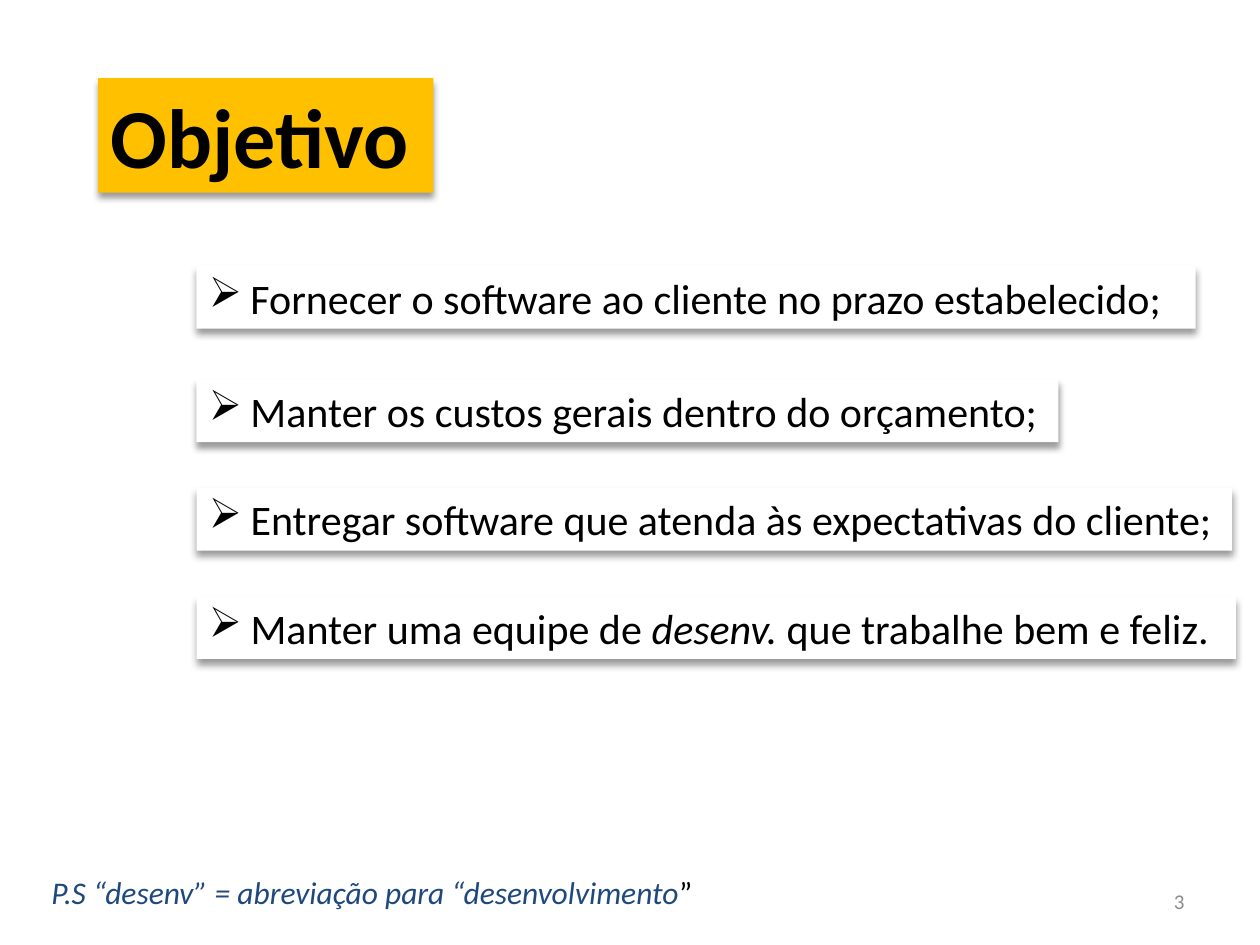
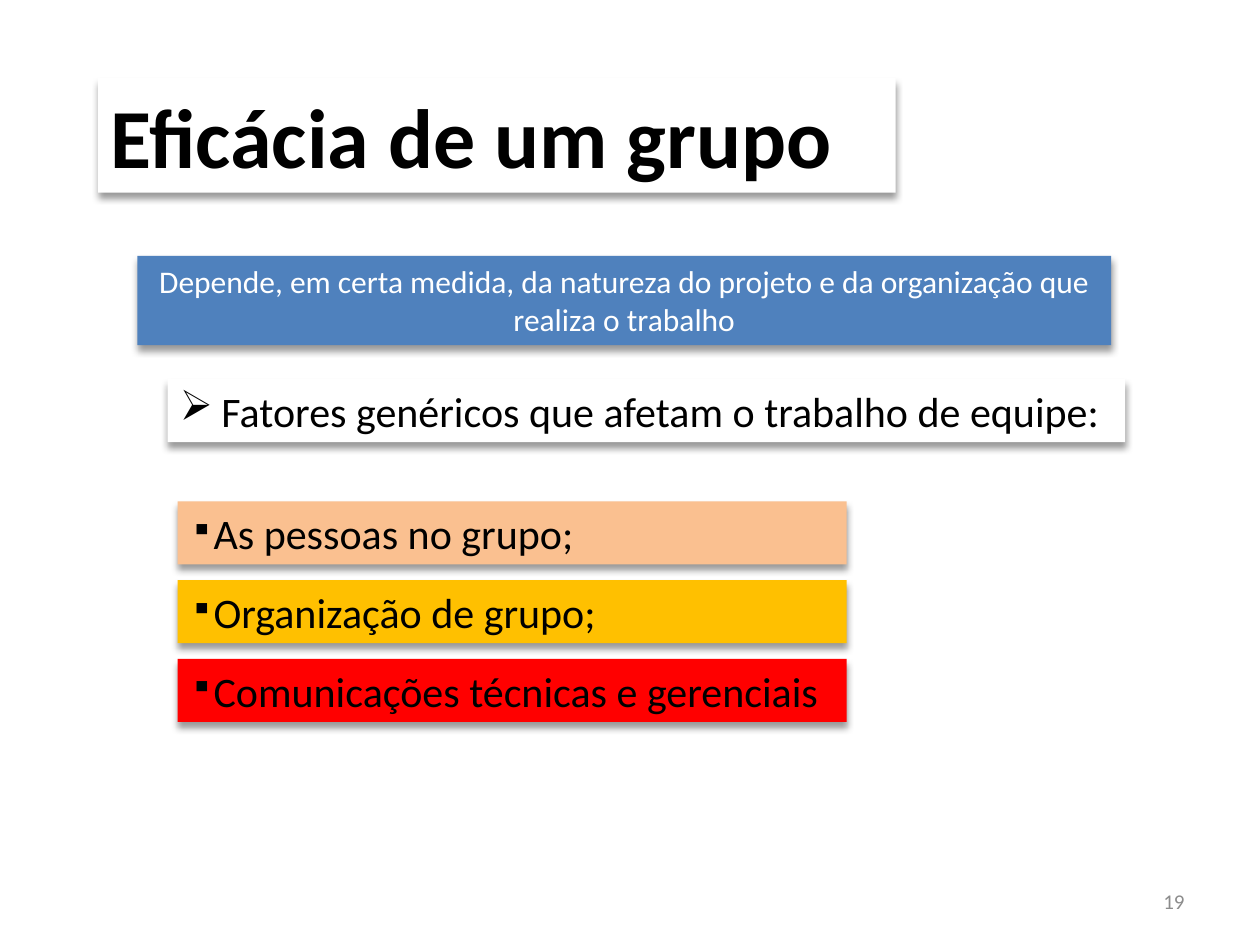
from dataclasses import dataclass

import pptx
import pptx.dml.color
import pptx.enum.shapes
import pptx.enum.text
import pptx.oxml
import pptx.oxml.ns
import pptx.util
import lxml.etree

RGBColor = pptx.dml.color.RGBColor
Align = pptx.enum.text.PP_ALIGN
Anchor = pptx.enum.text.MSO_ANCHOR

BLACK = RGBColor(0x00, 0x00, 0x00)
WHITE = RGBColor(0xFF, 0xFF, 0xFF)
AMBER = RGBColor(0xFF, 0xC0, 0x00)
PEACH = RGBColor(0xFA, 0xC0, 0x90)
RED = RGBColor(0xFF, 0x00, 0x00)
BLUE = RGBColor(0x4F, 0x81, 0xBD)
NAVY = RGBColor(0x1F, 0x49, 0x7D)
GREY = RGBColor(0x8C, 0x8C, 0x8C)

FONT = "Calibri"
COLUMNS, ROWS = 100, 75
CELL = pptx.util.Inches(0.1)
CARD_ROWS = 5


@dataclass(frozen=True)
class Box:
    left: float
    top: float
    width: float
    height: float

    def inner(self, left, top, width, height):
        return Box(self.left + left, self.top + top, width, height)

    def lengths(self):
        cells = (self.left, self.top, self.width, self.height)
        return [round(cell * CELL) for cell in cells]


@dataclass(frozen=True)
class Piece:
    text: str
    color: RGBColor = BLACK
    bold: bool = False
    italic: bool = False


@dataclass(frozen=True)
class Bullet:
    mark: str
    indent: float
    percent: int


ARROW = Bullet("➢", 3.3, 100)
SQUARE = Bullet("▪", 1.8, 75)
PAGE_BOX = Box(0, 0, COLUMNS, ROWS)


def add_bullet(para, bullet):
    settings = para._p.get_or_add_pPr()
    indent = round(bullet.indent * CELL)
    settings.set("marL", str(indent))
    settings.set("indent", str(-indent))
    size = lxml.etree.SubElement(settings, pptx.oxml.ns.qn("a:buSzPct"))
    size.set("val", str(bullet.percent * 1000))
    mark = lxml.etree.SubElement(settings, pptx.oxml.ns.qn("a:buChar"))
    mark.set("char", bullet.mark)


def write(shape, pieces, size, align=Align.LEFT, anchor=Anchor.TOP, bullet=None):
    frame = shape.text_frame
    frame.word_wrap = True
    frame.vertical_anchor = anchor
    para = frame.paragraphs[0]
    para.alignment = align
    if bullet:
        add_bullet(para, bullet)
    for piece in pieces:
        span = para.add_run()
        span.text = piece.text
        span.font.name = FONT
        span.font.size = pptx.util.Pt(size)
        span.font.bold = piece.bold
        span.font.italic = piece.italic
        span.font.color.rgb = piece.color


def add_shadow(shape):
    shape.shadow.inherit = False
    effects = shape._element.spPr.find(pptx.oxml.ns.qn("a:effectLst"))
    effects.append(pptx.oxml.parse_xml(
        f'<a:outerShdw {pptx.oxml.ns.nsdecls("a")} dist="{pptx.util.Pt(3)}" '
        f'blurRad="{pptx.util.Pt(4)}" dir="5400000" rotWithShape="0">'
        '<a:srgbClr val="000000"><a:alpha val="40000"/></a:srgbClr>'
        '</a:outerShdw>'))


def add_card(page, box, fill, pieces, size=24, **layout):
    card = page.shapes.add_shape(
        pptx.enum.shapes.MSO_SHAPE.RECTANGLE, *box.lengths())
    card.fill.solid()
    card.fill.fore_color.rgb = fill
    card.line.fill.background()
    add_shadow(card)
    write(card, pieces, size, **layout)


def add_label(page, box, pieces, size, **layout):
    write(page.shapes.add_textbox(*box.lengths()), pieces, size, **layout)


def add_frame(deck, box, title, title_width, title_fill, number):
    page = deck.slides.add_slide(deck.slide_layouts[6])
    add_card(page, box.inner(7.8, 6.2, title_width, 9.1), title_fill,
             [Piece(title, bold=True)], 48)
    add_label(page, box.inner(71.7, 69.5, 23.3, 4), [Piece(number, GREY)], 12,
              align=Align.RIGHT, anchor=Anchor.MIDDLE)
    return page


def add_goals(page, box):
    goals = [
        (0, 79.3, [Piece("Fornecer o software ao cliente no prazo estabelecido;")]),
        (9, 68.4, [Piece("Manter os custos gerais dentro do orçamento;")]),
        (17.6, 82.2, [Piece("Entregar software que atenda às expectativas do cliente;")]),
        (26.2, 82.5, [Piece("Manter uma equipe de "),
                      Piece("desenv. ", italic=True),
                      Piece("que trabalhe bem e feliz.")]),
    ]
    for top, width, pieces in goals:
        add_card(page, box.inner(0, top, width, CARD_ROWS), WHITE, pieces,
                 bullet=ARROW)


def add_factors(page, box):
    factors = [
        ("As pessoas no grupo;", PEACH),
        ("Organização de grupo;", AMBER),
        ("Comunicações técnicas e gerenciais", RED),
    ]
    pitch = (box.height - CARD_ROWS) / (len(factors) - 1)
    for index, (text, fill) in enumerate(factors):
        add_card(page, box.inner(0, index * pitch, box.width, CARD_ROWS), fill,
                 [Piece(text)], bullet=SQUARE)


def build_goal_page(deck, box):
    page = add_frame(deck, box, "Objetivo", 26.6, AMBER, "3")
    add_goals(page, box.inner(15.6, 21.1, 82.5, 31.2))
    add_label(page, box.inner(3.1, 68.8, 53.6, 4),
              [Piece("P.S “desenv” = abreviação para “desenvolvimento", NAVY,
                     italic=True),
               Piece("”")], 18)


def build_group_page(deck, box):
    page = add_frame(deck, box, "Eficácia de um grupo", 63.3, WHITE, "19")
    add_card(page, box.inner(10.9, 20.3, 77.3, 7.1), BLUE,
             [Piece("Depende, em certa medida, da natureza do projeto e da "
                    "organização que realiza o trabalho", WHITE)],
             18, align=Align.CENTER)
    add_card(page, box.inner(13.3, 30.1, 76, CARD_ROWS), WHITE,
             [Piece("Fatores genéricos que afetam o trabalho de equipe:")],
             bullet=ARROW)
    add_factors(page, box.inner(14.1, 39.8, 53.1, 17.5))


def main():
    deck = pptx.Presentation()
    deck.slide_width = COLUMNS * CELL
    deck.slide_height = ROWS * CELL
    build_goal_page(deck, PAGE_BOX)
    build_group_page(deck, PAGE_BOX)
    deck.save("out.pptx")


if __name__ == "__main__":
    main()
